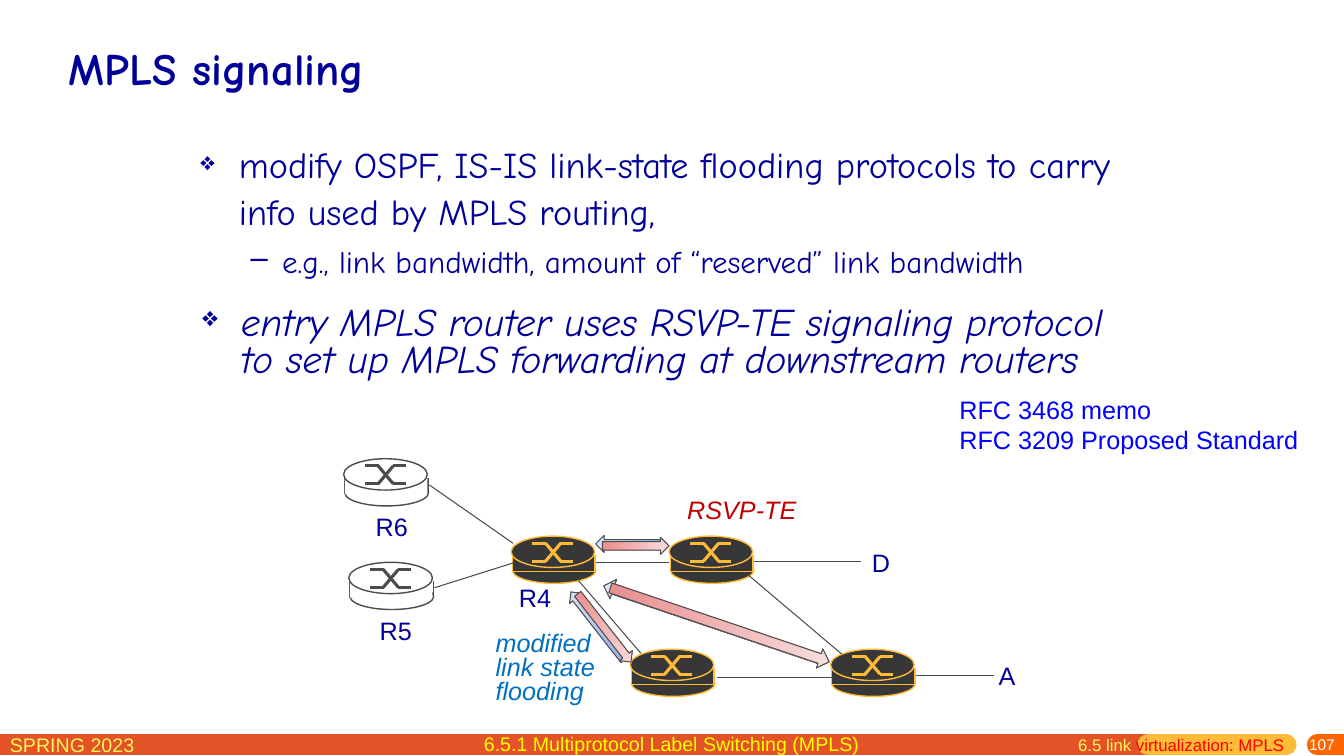
from lxml.etree import SubElement
from pptx import Presentation
from pptx.dml.color import RGBColor
from pptx.enum.shapes import MSO_CONNECTOR, MSO_SHAPE
from pptx.enum.text import MSO_ANCHOR, PP_ALIGN
from pptx.oxml.ns import qn
from pptx.util import Cm, Pt

WHITE = RGBColor(0xFF, 0xFF, 0xFF)
NAVY = RGBColor(0x00, 0x00, 0x99)
BLUE = RGBColor(0x00, 0x00, 0xFF)
SKY = RGBColor(0x00, 0x70, 0xC0)
RED = RGBColor(0xFF, 0x00, 0x00)
CRIMSON = RGBColor(0xC0, 0x00, 0x00)
GREY = RGBColor(0x4C, 0x4C, 0x4C)
CHARCOAL = RGBColor(0x37, 0x37, 0x37)
AMBER = RGBColor(0xFF, 0xBA, 0x37)
ORANGE = RGBColor(0xFF, 0x66, 0x00)
BRICK = RGBColor(0xE4, 0x53, 0x27)
LEMON = RGBColor(0xFF, 0xF6, 0x5C)
YELLOW = RGBColor(0xFF, 0xFF, 0x00)
BLUE_FADE = RGBColor(0x8C, 0xAD, 0xEA), RGBColor(0xDE, 0xE6, 0xF7)
RED_FADE = RGBColor(0xEA, 0x8C, 0x8C), RGBColor(0xF7, 0xDE, 0xDE)

COMIC = "Comic Neue"
FOOTER_MIDDLE = 18.77
DARK_ROUTERS = [(20.93, 16.36), (15.88, 16.36), (16.86, 13.51), (12.88, 13.51)]
LIGHT_ROUTERS = [(8.66, 11.56), (8.79, 14.17)]
LINKS = [
    (10.82, 12.22, 12.93, 13.69),
    (10.95, 14.81, 12.98, 14.17),
    (15.01, 14.17, 16.87, 14.17),
    (14.58, 14.63, 16.15, 16.46),
    (18.08, 17.07, 20.98, 17.07),
    (18.87, 14.5, 21.21, 16.48),
    (23.09, 17.02, 25.04, 17.02),
    (19, 14.15, 21.69, 14.15),
]
NODE_LABELS = [("D", 21.72, 13.67), ("R4", 12.83, 14.55), ("R5", 9.32, 15.39),
               ("A", 24.92, 16.51), ("R6", 9.22, 12.75)]
# left, top, width, height, rotation
SIGNALS = [(15.01, 13.49, 1.68, 0.43, 0), (13.97, 15.57, 2.18, 0.41, 52),
           (15.06, 15.44, 5.82, 0.51, 18.65)]


def format_run(run, size, color, font=None, bold=False, italic=False):
    run.font.name = font or "Arial"
    run.font.size = Pt(size)
    run.font.color.rgb = color
    run.font.bold = bold
    run.font.italic = italic


def add_bullet(paragraph, character, margin, hanging, percent=100):
    properties = paragraph._p.get_or_add_pPr()
    properties.set("marL", str(Cm(margin)))
    properties.set("indent", str(-Cm(hanging)))
    SubElement(properties, qn("a:buSzPct"), val=str(percent * 1000))
    SubElement(properties, qn("a:buChar"), char=character)


def add_text(slide, text, left, top, width, height, size, color, wrap=True,
             anchor=MSO_ANCHOR.TOP, align=PP_ALIGN.LEFT, spacing=None, **style):
    """Add a text box with one paragraph per line of text and return its frame."""
    box = slide.shapes.add_textbox(Cm(left), Cm(top), Cm(width), Cm(height))
    frame = box.text_frame
    frame.word_wrap = wrap
    frame.vertical_anchor = anchor
    for index, line in enumerate(text.split("\n")):
        paragraph = frame.add_paragraph() if index else frame.paragraphs[0]
        paragraph.alignment = align
        paragraph.line_spacing = spacing
        run = paragraph.add_run()
        run.text = line
        format_run(run, size, color, **style)
    return frame


def add_line(shapes, x1, y1, x2, y2, color, width, cap="flat"):
    connector = shapes.add_connector(MSO_CONNECTOR.STRAIGHT, Cm(x1), Cm(y1), Cm(x2), Cm(y2))
    connector.line.color.rgb = color
    connector.line.width = Pt(width)
    properties = connector.element.spPr
    properties.find(qn("a:ln")).set("cap", cap)
    SubElement(properties, qn("a:effectLst"))


def add_solid(shapes, kind, left, top, width, height, fill, line=None, line_width=1):
    shape = shapes.add_shape(kind, Cm(left), Cm(top), Cm(width), Cm(height))
    shape.shadow.inherit = False
    shape.fill.solid()
    shape.fill.fore_color.rgb = fill
    if line is None:
        shape.line.fill.background()
    else:
        shape.line.color.rgb = line
        shape.line.width = Pt(line_width)


def add_router(slide, left, top, fill, line, rim):
    """Add a drum with crossed strokes; rim outlines the band between its ellipses."""
    shapes = slide.shapes.add_group_shape().shapes
    add_solid(shapes, MSO_SHAPE.OVAL, left + 0.03, top + 0.53, 2.11, 0.66, fill, line)
    for x in (left + 0.03, left + 2.13):
        add_line(shapes, x, top + 0.48, x, top + 0.89, line, 1)
    add_solid(shapes, MSO_SHAPE.RECTANGLE, left + 0.03, top + 0.48, 2.08, 0.41, fill, rim, 0.75)
    add_solid(shapes, MSO_SHAPE.OVAL, left, top, 2.11, 0.79, fill, line)
    upper, lower = top + 0.18, top + 0.63
    for start, end in ((upper, lower), (lower, upper)):
        add_line(shapes, left + 0.53, start, left + 0.89, start, line, 2.25)
        add_line(shapes, left + 0.87, start, left + 1.25, end, line, 2.25)
        add_line(shapes, left + 1.24, end, left + 1.57, end, line, 2.25)


def add_arrow(slide, left, top, width, height, rotation, fade):
    arrow = slide.shapes.add_shape(MSO_SHAPE.RIGHT_ARROW, Cm(left), Cm(top), Cm(width), Cm(height))
    arrow.rotation = rotation
    arrow.shadow.inherit = False
    arrow.fill.gradient()
    arrow.fill.gradient_angle = 0
    for stop, color in zip(arrow.fill.gradient_stops, fade):
        stop.color.rgb = color
    arrow.line.color.rgb = GREY
    arrow.line.width = Pt(0.75)


def add_footer(slide):
    for start, end, color in ((-0.46, 28.93, BRICK), (28.93, 32.41, AMBER), (33.2, 34.54, ORANGE)):
        add_line(slide.shapes, start, FOOTER_MIDDLE, end, FOOTER_MIDDLE, color, 15, cap="rnd")
    add_text(slide, "SPRING 2023", 0, 18.34, 5.82, 0.79, 14, LEMON)
    number = add_text(slide, "107", 27.31, 18.59, 6.58, 0.46, 11, WHITE,
                      anchor=MSO_ANCHOR.MIDDLE, align=PP_ALIGN.RIGHT)
    number.margin_top, number.margin_bottom = 0, Cm(0.13)
    section = add_text(slide, "6.5 link ", 26.92, 18.39, 5.99, 0.79, 12, LEMON)
    topic = section.paragraphs[0].add_run()
    topic.text = "virtualization: MPLS"
    format_run(topic, 12, RED)
    add_text(slide, "6.5.1 Multiprotocol Label Switching (MPLS)", 6.73, 18.31, 20.4, 0.86,
             14, YELLOW, align=PP_ALIGN.CENTER)


def add_points(slide):
    flooding = add_text(
        slide, "modify OSPF, IS-IS link-state flooding protocols to carry info used by MPLS routing,\n"
        "e.g., link bandwidth, amount of “reserved” link bandwidth",
        4.8, 3.38, 24.1, 3.76, 25.9, NAVY, font=COMIC, spacing=1.08)
    point, example = flooding.paragraphs
    add_bullet(point, "❖", 0.97, 0.97, 70)
    add_bullet(example, "–", 2.06, 0.79)
    example.level = 1
    example.space_before = Pt(4.4)
    example.runs[0].font.size = Pt(22.2)
    entry = add_text(
        slide, "entry MPLS router uses RSVP-TE signaling protocol to set up MPLS forwarding "
        "at downstream routers",
        4.85, 7.59, 24.16, 2.95, 28, NAVY, font=COMIC, italic=True, spacing=0.8)
    add_bullet(entry.paragraphs[0], "❖", 0.97, 0.97, 70)


def add_network(slide):
    for left, top in DARK_ROUTERS:
        add_router(slide, left, top, CHARCOAL, AMBER, AMBER)
    for left, top in LIGHT_ROUTERS:
        add_router(slide, left, top, WHITE, GREY, None)
    for link in LINKS:
        add_line(slide.shapes, *link, GREY, 0.75)
    for name, left, top in NODE_LABELS:
        add_text(slide, name, left, top, 1.32, 1.02, 18, NAVY, wrap=False)
    for left, top, width, height, rotation in SIGNALS:
        add_arrow(slide, left, top, width, height, rotation + 180, BLUE_FADE)
    for left, top, width, height, rotation in SIGNALS:
        add_arrow(slide, left + 0.17, top + 0.05, width, height, rotation, RED_FADE)
    add_text(slide, "modified\nlink state\nflooding", 12.24, 15.85, 3.23, 2.08, 18, SKY,
             wrap=False, italic=True, spacing=Pt(17))
    add_text(slide, "RSVP-TE", 17.07, 12.5, 3.3, 0.86, 18, CRIMSON,
             wrap=False, italic=True, spacing=Pt(17))


def main():
    presentation = Presentation()
    presentation.slide_width, presentation.slide_height = Cm(33.87), Cm(19.05)
    slide = presentation.slides.add_slide(presentation.slide_layouts[6])
    add_footer(slide)
    add_text(slide, "MPLS signaling", 1.47, 0.71, 30.94, 2.01, 32, NAVY,
             anchor=MSO_ANCHOR.MIDDLE, font=COMIC, bold=True)
    add_points(slide)
    add_network(slide)
    add_text(slide, "RFC 3468 memo\nRFC 3209 Proposed Standard", 23.93, 9.8, 9.4, 1.8, 18, BLUE)
    presentation.save("out.pptx")


if __name__ == "__main__":
    main()
